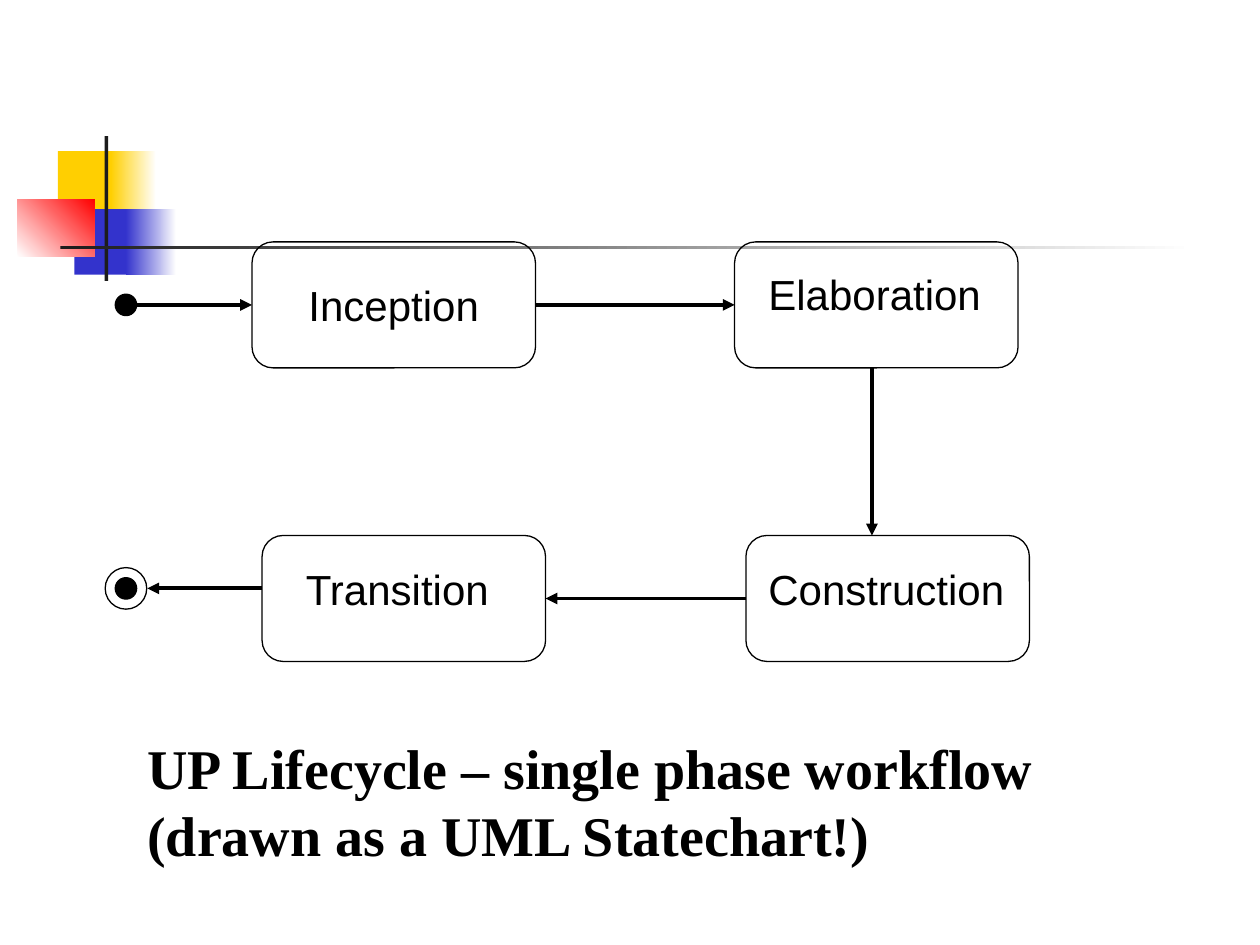
from pptx import Presentation
from pptx.dml.color import RGBColor
from pptx.enum.shapes import MSO_CONNECTOR, MSO_SHAPE
from pptx.enum.text import MSO_AUTO_SIZE
from pptx.oxml.ns import qn
from pptx.util import Inches, Pt
from lxml.etree import SubElement

BLACK = RGBColor(0x00, 0x00, 0x00)
WHITE = RGBColor(0xFF, 0xFF, 0xFF)
YELLOW = RGBColor(0xFF, 0xCF, 0x01)
BLUE = RGBColor(0x33, 0x33, 0xCC)
RED = RGBColor(0xFF, 0x00, 0x00)
CHARCOAL = RGBColor(0x1C, 0x1C, 0x1C)

STATE_W, STATE_H = 2.25, 1


def add_block(s, kind, x, y, w, h, fill=None, fade=None, angle=0, outline=None):
    """Add a shape with a solid, fading or empty fill and an optional outline."""
    sp = s.shapes.add_shape(kind, Inches(x), Inches(y), Inches(w), Inches(h))
    sp.shadow.inherit = False
    if fill is None:
        sp.fill.background()
    elif fade is None:
        sp.fill.solid()
        sp.fill.fore_color.rgb = fill
    else:
        sp.fill.gradient()
        sp.fill.gradient_angle = angle
        for stop, color, position in zip(sp.fill.gradient_stops, (fill, fade), (0, 1)):
            stop.color.rgb = color
            stop.position = position
    if outline is None:
        sp.line.fill.background()
    else:
        sp.line.color.rgb = outline
        sp.line.width = Pt(0.75)
    return sp


def add_text(s, x, y, w, h, text, font, size, bold=False):
    """Add an unwrapped text box, one paragraph per line of text."""
    tf = s.shapes.add_textbox(Inches(x), Inches(y), Inches(w), Inches(h)).text_frame
    tf.word_wrap = False
    tf.auto_size = MSO_AUTO_SIZE.SHAPE_TO_FIT_TEXT
    tf.text = text
    for p in tf.paragraphs:
        for r in p.runs:
            r.font.name = font
            r.font.size = Pt(size)
            r.font.bold = bold
            r.font.color.rgb = BLACK


def add_arrow(s, x1, y1, x2, y2):
    """Add a transition arrow pointing at its second end."""
    c = s.shapes.add_connector(MSO_CONNECTOR.STRAIGHT, Inches(x1), Inches(y1),
                               Inches(x2), Inches(y2))
    c.line.color.rgb = BLACK
    c.line.width = Pt(2.25)
    SubElement(c.line._get_or_add_ln(), qn("a:tailEnd"), type="triangle")
    SubElement(c._element.spPr, qn("a:effectLst"))


def add_ornament(s, x, y):
    """Draw the coloured squares and crossing bars from a top left corner."""
    for dx, dy, w, h, fill, fade, angle in (
        (0.32, 0.12, 0.48, 0.52, YELLOW, None, 0),
        (0.74, 0.12, 0.36, 0.52, YELLOW, WHITE, 0),
        (0.45, 0.58, 0.46, 0.52, BLUE, None, 0),
        (0.86, 0.58, 0.4, 0.52, BLUE, WHITE, 0),
        (0, 0.5, 0.61, 0.46, WHITE, RED, 45),
        (0.69, 0, 0.03, 1.15, CHARCOAL, None, 0),
        (0.34, 0.87, 9, 0.03, CHARCOAL, WHITE, 0),
    ):
        add_block(s, MSO_SHAPE.RECTANGLE, x + dx, y + dy, w, h, fill, fade, angle)


def add_state(s, x, y, name, dx, dy, label_w):
    """Draw a rounded state with its label offset from the state's corner."""
    sp = add_block(s, MSO_SHAPE.ROUNDED_RECTANGLE, x, y, STATE_W, STATE_H, outline=BLACK)
    sp.adjustments[0] = 0.167
    add_text(s, x + dx, y + dy, label_w, 0.5, name, "Arial", 24)


def add_dot(s, cx, cy, d, fill=None):
    """Draw a circle of diameter d around a centre."""
    add_block(s, MSO_SHAPE.OVAL, cx - d / 2, cy - d / 2, d, d, fill, outline=BLACK)


def add_statechart(s, x, y):
    """Draw the four phases, start and end markers and their transitions."""
    top, bottom = y, y + 2.33
    inception, elaboration = x + 1.17, x + 5
    transition, construction = x + 1.25, x + 5.09
    marker = x + 0.17
    start_y, end_y = top + 0.5, bottom + 0.42
    bottom_mid = bottom + STATE_H / 2
    down_x = x + 6.09

    add_state(s, inception, top, "Inception", 0.35, 0.25, 1.56)
    add_state(s, elaboration, top, "Elaboration", 0.17, 0.16, 1.89)
    add_state(s, construction, bottom, "Construction", 0.08, 0.17, 2.07)
    add_state(s, transition, bottom, "Transition", 0.25, 0.17, 1.67)

    add_dot(s, marker, start_y, 0.17, BLACK)
    add_dot(s, marker, end_y, 0.17, BLACK)
    add_dot(s, marker, end_y, 0.33)

    for ends in (
        (marker + 0.08, start_y, inception, start_y),
        (inception + STATE_W, start_y, elaboration, start_y),
        (down_x, top + STATE_H, down_x, bottom),
        (construction, bottom_mid, transition + STATE_W, bottom_mid),
        (transition, end_y, marker + 0.17, end_y),
    ):
        add_arrow(s, *ends)


def build_slide(prs):
    """Place the ornament, the statechart and the caption on a blank slide."""
    s = prs.slides.add_slide(prs.slide_layouts[6])
    add_ornament(s, 0.14, 1.08)
    add_statechart(s, 0.83, 1.92)
    add_text(s, 1.07, 5.77, 7.25, 1.17,
             "UP Lifecycle – single phase workflow\n(drawn as a UML Statechart!)",
             "Times New Roman", 32, bold=True)


prs = Presentation()
prs.slide_width, prs.slide_height = Inches(10), Inches(7.5)
build_slide(prs)
prs.save("out.pptx")
